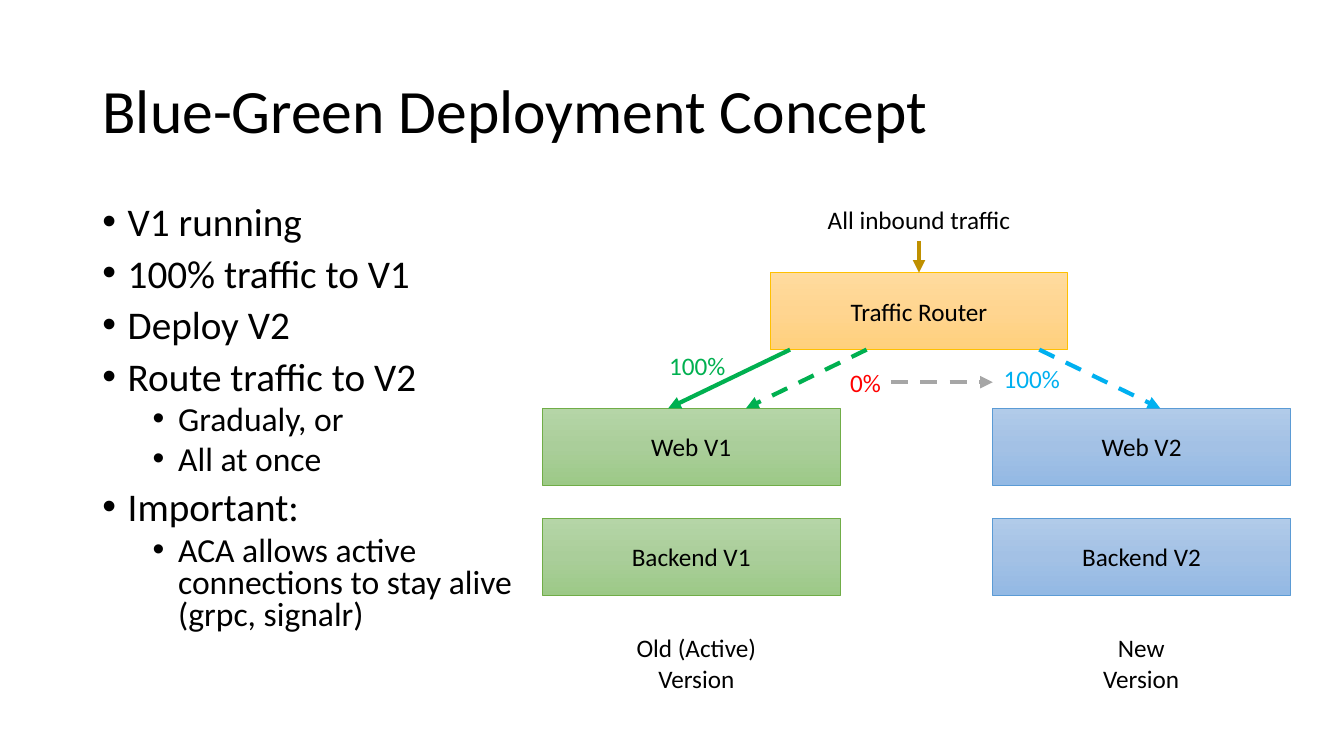
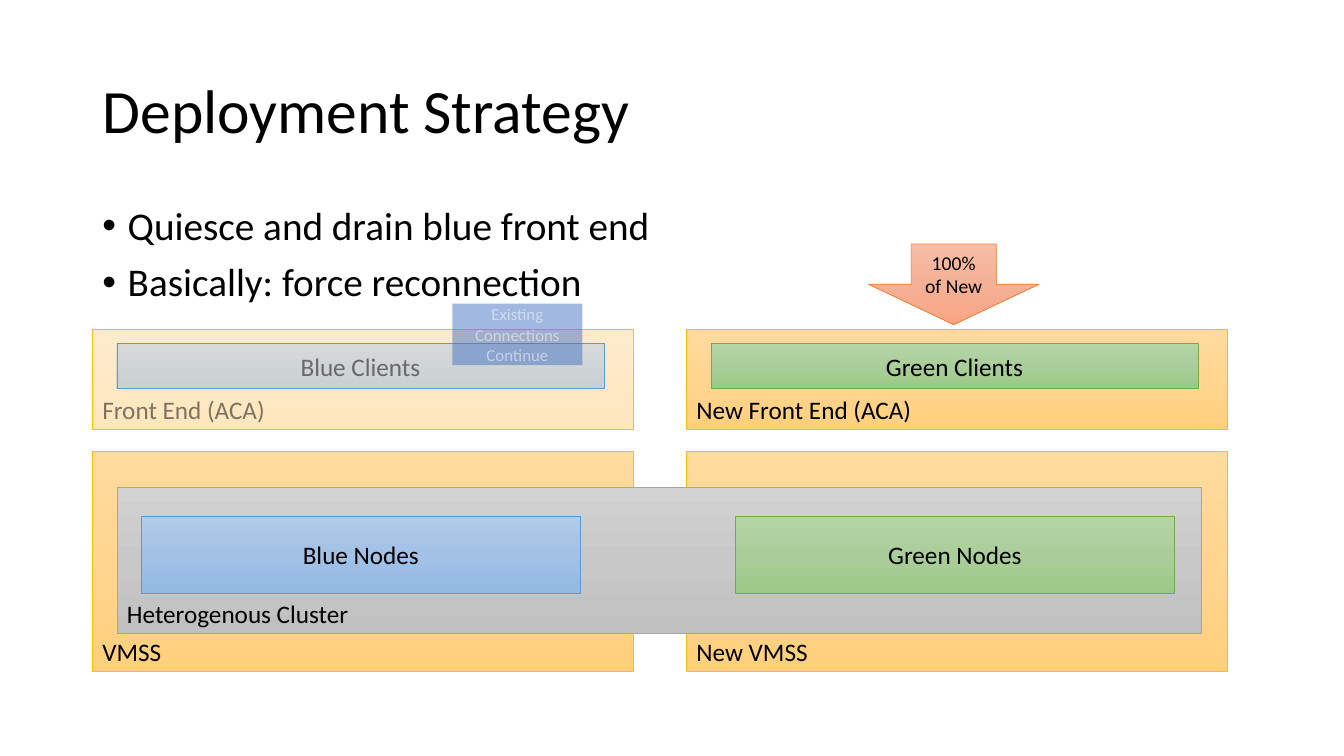
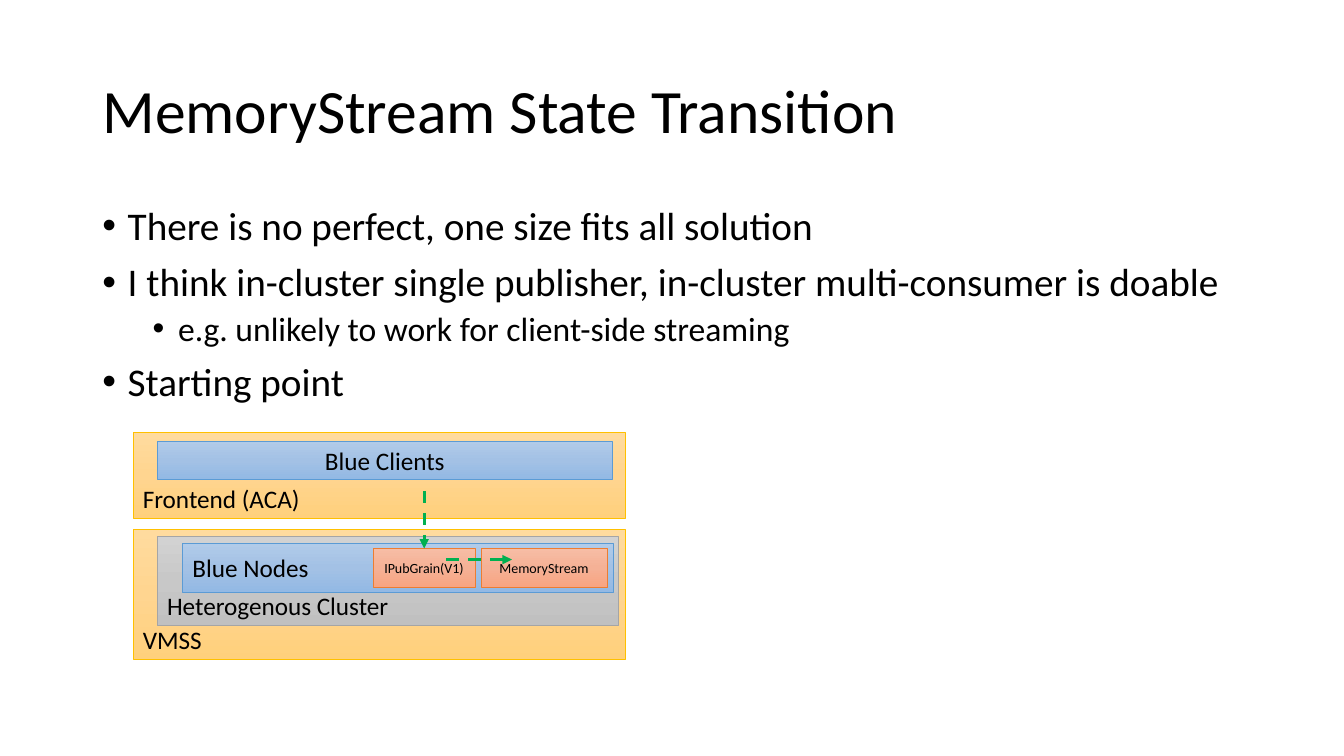
from lxml.etree import SubElement
from pptx import Presentation
from pptx.dml.color import RGBColor
from pptx.enum.dml import MSO_LINE
from pptx.enum.shapes import MSO_CONNECTOR, MSO_SHAPE
from pptx.enum.text import MSO_ANCHOR, PP_ALIGN
from pptx.oxml.ns import qn
from pptx.util import Cm, Pt

FONT = "Calibri"
COLORS = {
    "black": "000000",
    "white": "FFFFFF",
    "red": "FF0000",
    "green": "00B050",
    "blue": "00B0F0",
    "brown": "BF9000",
    "gray": "A6A6A6",
    "indigo": "4472C4",
}
# Three gradient stops from top to bottom, then the outline
BOX_STYLES = {
    "green": ("B5D5A7", "AACE9A", "9CC987", "70AD47"),
    "blue": ("B1CBE9", "A3C1E5", "93B9E4", "5B9BD5"),
    "gold": ("FFDB9E", "FFD590", "FFD07C", "FFC000"),
    "gray": ("D2D2D2", "C8C8C8", "C0C0C0", "A5A5A5"),
    "orange": ("F7BDA5", "F5B196", "F8A582", "ED7D31"),
}
LEFT, CONTENT_WIDTH = 2.33, 29.21
CORNER = {"align": PP_ALIGN.LEFT, "anchor": MSO_ANCHOR.BOTTOM}


def rgb(name):
    return RGBColor.from_string(COLORS[name])


def set_opacity(parent, percent):
    """Make every colour below an XML element partly transparent."""
    if percent < 100:
        for color in parent.iter(qn("a:srgbClr")):
            SubElement(color, qn("a:alpha"), val=str(percent * 1000))


def write(paragraph, text, size=18, color="black", align=PP_ALIGN.LEFT,
          opacity=100, line_spacing=None, space_before=None):
    paragraph.alignment = align
    paragraph.line_spacing = line_spacing
    if space_before is not None:
        paragraph.space_before = Pt(space_before)
    run = paragraph.add_run()
    run.text = text
    run.font.name = FONT
    run.font.size = Pt(size)
    run.font.color.rgb = rgb(color)
    set_opacity(run._r, opacity)


def write_lines(frame, text, **formatting):
    for index, line in enumerate(text.split("\n")):
        paragraph = frame.add_paragraph() if index else frame.paragraphs[0]
        write(paragraph, line, **formatting)


class Deck:
    def __init__(self):
        self.presentation = Presentation()
        self.presentation.slide_width = Cm(33.87)
        self.presentation.slide_height = Cm(19.05)
        self.slide = None

    def add_slide(self, title):
        layout = self.presentation.slide_layouts.get_by_name("Title Only")
        self.slide = self.presentation.slides.add_slide(layout)
        shape = self.slide.shapes.title
        shape.left, shape.top = Cm(LEFT), Cm(1.02)
        shape.width, shape.height = Cm(CONTENT_WIDTH), Cm(3.68)
        shape.text_frame.vertical_anchor = MSO_ANCHOR.MIDDLE
        write_lines(shape.text_frame, title, size=44, line_spacing=0.9)

    def add_bullets(self, items, width=CONTENT_WIDTH, line_spacing=0.9):
        """Write (level, text) items as a bulleted list."""
        shape = self.slide.shapes.add_textbox(
            Cm(LEFT), Cm(5.08), Cm(width), Cm(12.1))
        frame = shape.text_frame
        frame.word_wrap = True
        for index, (level, text) in enumerate(items):
            paragraph = frame.add_paragraph() if index else frame.paragraphs[0]
            paragraph.level = level
            write(paragraph, text, size=24 if level else 28,
                  line_spacing=line_spacing, space_before=5 if level else 10)
            properties = paragraph._p.get_or_add_pPr()
            properties.set("marL", str(Cm(0.64 + 1.27 * level)))
            properties.set("indent", str(-Cm(0.64)))
            SubElement(properties, qn("a:buFont"), typeface="Arial")
            SubElement(properties, qn("a:buChar"), char="•")

    def add_label(self, text, left, top, width, height=1.02, color="black"):
        shape = self.slide.shapes.add_textbox(
            Cm(left), Cm(top), Cm(width), Cm(height))
        shape.text_frame.word_wrap = False
        write_lines(shape.text_frame, text, color=color, align=PP_ALIGN.CENTER)

    def add_shape(self, text, left, top, width, height, preset=MSO_SHAPE.RECTANGLE,
                  anchor=MSO_ANCHOR.MIDDLE, align=PP_ALIGN.CENTER, **formatting):
        shape = self.slide.shapes.add_shape(
            preset, Cm(left), Cm(top), Cm(width), Cm(height))
        shape.shadow.inherit = False
        shape.text_frame.word_wrap = True
        shape.text_frame.vertical_anchor = anchor
        write_lines(shape.text_frame, text, align=align, **formatting)
        return shape

    def add_box(self, text, style, *place, opacity=100, **formatting):
        """Add a shape with a vertical gradient and a thin outline."""
        shape = self.add_shape(text, *place, opacity=opacity, **formatting)
        *stops, outline = BOX_STYLES[style]
        shape.fill.gradient()
        shape.fill.gradient_angle = 270
        stop_list = shape._element.spPr.find(qn("a:gradFill")).find(qn("a:gsLst"))
        for stop in list(stop_list):
            stop_list.remove(stop)
        for position, color in zip((0, 50000, 100000), stops):
            stop = SubElement(stop_list, qn("a:gs"), pos=str(position))
            SubElement(stop, qn("a:srgbClr"), val=color)
        set_opacity(stop_list, opacity)
        shape.line.color.rgb = RGBColor.from_string(outline)
        shape.line.width = Pt(0.5)

    def add_flat_box(self, text, fill_color, *place, opacity=100, **formatting):
        shape = self.add_shape(text, *place, opacity=opacity, **formatting)
        shape.fill.solid()
        shape.fill.fore_color.rgb = rgb(fill_color)
        set_opacity(shape._element.spPr, opacity)
        shape.line.fill.background()

    def add_arrow(self, start_x, start_y, end_x, end_y, color, width=3, dashed=True):
        connector = self.slide.shapes.add_connector(
            MSO_CONNECTOR.STRAIGHT, Cm(start_x), Cm(start_y), Cm(end_x), Cm(end_y))
        connector.line.color.rgb = rgb(color)
        connector.line.width = Pt(width)
        if dashed:
            connector.line.dash_style = MSO_LINE.DASH
        SubElement(connector.line._get_or_add_ln(), qn("a:tailEnd"), type="triangle")
        SubElement(connector._element.spPr, qn("a:effectLst"))


def build_concept(deck):
    deck.add_slide("Blue-Green Deployment Concept")
    deck.add_bullets([
        (0, "V1 running"),
        (0, "100% traffic to V1"),
        (0, "Deploy V2"),
        (0, "Route traffic to V2"),
        (1, "Gradualy, or"),
        (1, "All at once"),
        (0, "Important:"),
        (1, "ACA allows active connections to stay alive (grpc, signalr)"),
    ], width=11.35, line_spacing=0.8)

    box_width, box_height = 7.5, 1.94
    router_top, web_top, backend_top = 6.87, 10.29, 13.06
    router_bottom = router_top + box_height
    for version, style, left in (("V1", "green", 13.67), ("V2", "blue", 25.02)):
        for tier, top in (("Web", web_top), ("Backend", backend_top)):
            deck.add_box(f"{tier} {version}", style, left, top, box_width, box_height)
    deck.add_box("Traffic Router", "gold", 19.41, router_top, box_width, box_height)

    for start_x, end_x, color, dashed in (
            (19.91, 16.84, "green", False),
            (21.84, 18.8, "green", True),
            (26.19, 29.24, "blue", True)):
        deck.add_arrow(start_x, router_bottom, end_x, web_top, color, dashed=dashed)
    deck.add_arrow(23.16, 6.07, 23.16, router_top, "brown", dashed=False)
    deck.add_arrow(22.45, 9.63, 25.02, 9.63, "gray")

    deck.add_label("All inbound traffic", 20.57, 5.03, 5.18)
    deck.add_label("100%", 16.59, 8.71, 1.96, color="green")
    deck.add_label("0%", 21.16, 9.12, 1.3, color="red")
    deck.add_label("100%", 25.02, 9.04, 1.96, color="blue")
    deck.add_label("Old (Active)\nVersion", 15.77, 15.82, 3.56, 1.8)
    deck.add_label("New\nVersion", 27.53, 15.82, 2.46, 1.8)


def build_strategy(deck):
    deck.add_slide("Deployment Strategy")
    deck.add_bullets([
        (0, "Quiesce and drain blue front end"),
        (0, "Basically: force reconnection"),
    ])
    old_left, new_left, panel_width, inset = LEFT, 17.3, 13.64, 0.62
    for text, left in (("New VMSS", new_left), ("VMSS", old_left)):
        deck.add_box(text, "gold", left, 11.38, panel_width, 5.54, **CORNER)
    deck.add_box("Heterogenous Cluster", "gray", old_left + inset, 12.29, 27.33, 3.68,
                 **CORNER)
    for prefix, name, left, opacity in (
            ("New ", "Green", new_left, 100), ("", "Blue", old_left, 50)):
        style = name.lower()
        deck.add_box(f"{name} Nodes", style, left + 2 * inset, 13, 11.05, 1.96)
        deck.add_box(f"{prefix}Front End (ACA)", "gold", left, 8.31, panel_width, 2.51,
                     opacity=opacity, **CORNER)
        deck.add_box(f"{name} Clients", style, left + inset, 8.66, 12.27, 1.14,
                     opacity=opacity)
    deck.add_box("100%\nof New", "orange", 21.89, 6.15, 4.29, 2.03,
                 preset=MSO_SHAPE.DOWN_ARROW, size=14)
    deck.add_flat_box("Existing\nConnections Continue", "indigo", 11.4, 7.65, 3.28, 1.55,
                      opacity=50, size=12, color="white")


def build_transition(deck):
    deck.add_slide("MemoryStream State Transition")
    deck.add_bullets([
        (0, "There is no perfect, one size fits all solution"),
        (0, "I think in-cluster single publisher, in-cluster multi-consumer is doable"),
        (1, "e.g. unlikely to work for client-side streaming"),
        (0, "Starting point"),
    ])
    panel_left, panel_width, inner_left = 3.35, 12.4, 3.96
    deck.add_box("VMSS", "gold", panel_left, 13.34, panel_width, 3.28, **CORNER)
    deck.add_box("Heterogenous Cluster", "gray", inner_left, 13.51, 11.63, 2.26, **CORNER)
    deck.add_box("Frontend (ACA)", "gold", panel_left, 10.9, panel_width, 2.16, **CORNER)
    deck.add_box("Blue Clients", "blue", inner_left, 11.13, 11.48, 0.94)
    deck.add_box("Blue Nodes", "blue", 4.6, 13.69, 10.85, 1.24, align=PP_ALIGN.LEFT)
    for text, left, width in (("MemoryStream", 12.12, 3.18), ("IPubGrain(V1)", 9.4, 2.57)):
        deck.add_box(text, "orange", left, 13.82, width, 0.97, size=10)
    deck.add_arrow(10.69, 12.37, 10.69, 13.82, "green", width=2.25)
    deck.add_arrow(11.25, 14.1, 12.9, 14.1, "green", width=2.25)


def main():
    deck = Deck()
    build_concept(deck)
    build_strategy(deck)
    build_transition(deck)
    deck.presentation.save("out.pptx")


if __name__ == "__main__":
    main()
